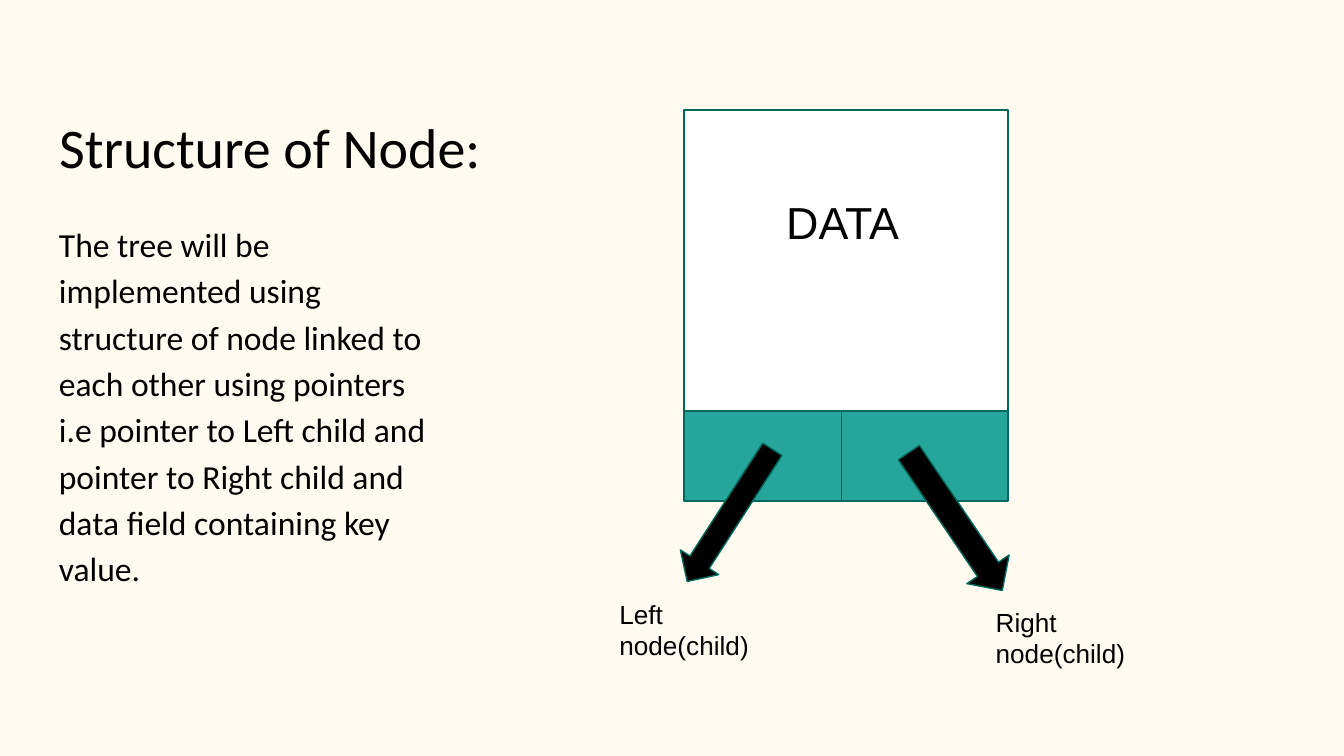
from dataclasses import dataclass

from pptx import Presentation
from pptx import util as u
from pptx.dml.color import RGBColor
from pptx.enum import shapes, text


@dataclass(frozen=True)
class Theme:
    background: str = "FFFBF0"
    ink: str = "000000"
    paper: str = "FFFFFF"
    teal: str = "26A69A"
    outline: str = "00695C"
    head_font: str = "Calibri"
    label_font: str = "Arial"
    title: int = 30
    data: int = 24
    body: int = 18
    label: int = 14
    line: float = 0.75
    inset: float = 0.1


def write(sp, content, theme, *, size, font, align=text.PP_ALIGN.LEFT,
          anchor=text.MSO_ANCHOR.TOP, spacing=None, after=0):
    tf = sp.text_frame
    tf.word_wrap = True
    tf.auto_size = text.MSO_AUTO_SIZE.NONE
    tf.vertical_anchor = anchor
    tf.margin_left = tf.margin_right = u.Inches(theme.inset)
    tf.margin_top = tf.margin_bottom = u.Inches(theme.inset)
    p = tf.paragraphs[0]
    p.alignment = align
    p.line_spacing = spacing
    p.space_before = u.Pt(0)
    p.space_after = u.Pt(after)
    r = p.add_run()
    r.text = content
    r.font.name = font
    r.font.size = u.Pt(size)
    r.font.color.rgb = RGBColor.from_string(theme.ink)


class SlideBuilder:
    """Holds the theme and the slide being drawn; boxes are (left, top, width, height) in inches."""

    def __init__(self, s, theme):
        self.s = s
        self.theme = theme
        fill = s.background.fill
        fill.solid()
        fill.fore_color.rgb = RGBColor.from_string(theme.background)

    def title(self, content, box):
        sp = self.s.shapes.title
        sp.left, sp.top, sp.width, sp.height = map(u.Inches, box)
        write(sp, content, self.theme, size=self.theme.title,
              font=self.theme.head_font, anchor=text.MSO_ANCHOR.BOTTOM)

    def text(self, content, box, **fmt):
        sp = self.s.shapes.add_textbox(*map(u.Inches, box))
        write(sp, content, self.theme, **fmt)

    def shape(self, kind, box, color, rotation=0):
        sp = self.s.shapes.add_shape(kind, *map(u.Inches, box))
        sp.shadow.inherit = False
        sp.rotation = rotation
        sp.fill.solid()
        sp.fill.fore_color.rgb = RGBColor.from_string(color)
        sp.line.color.rgb = RGBColor.from_string(self.theme.outline)
        sp.line.width = u.Pt(self.theme.line)

    def cell(self, box, color):
        self.shape(shapes.MSO_SHAPE.RECTANGLE, box, color)

    def pointer(self, box, rotation):
        self.shape(shapes.MSO_SHAPE.DOWN_ARROW, box, self.theme.ink, rotation)


def main():
    prs = Presentation()
    prs.slide_width = u.Inches(10)
    prs.slide_height = u.Inches(10 * 9 / 16)
    theme = Theme()
    b = SlideBuilder(prs.slides.add_slide(prs.slide_layouts[5]), theme)

    b.title("Structure of Node:", (0.34, 0.61, 4.17, 0.83))
    b.text("The tree will be implemented using structure of node linked to "
           "each other using pointers i.e pointer to Left child and pointer "
           "to Right child and data field containing key value.",
           (0.34, 1.52, 3.07, 3.48), size=theme.body, font=theme.head_font,
           spacing=1.15, after=16)

    # The node: a data field above two pointer fields
    left, top, width, data_height = 5.09, 0.82, 2.41, 2.24
    left_width, pointer_height = 1.17, 0.67
    pointer_top = top + data_height
    b.cell((left, top, width, data_height), theme.paper)
    b.cell((left, pointer_top, left_width, pointer_height), theme.teal)
    b.cell((left + left_width, pointer_top, width - left_width, pointer_height),
           theme.teal)
    b.text("DATA", (5.4, 1.35, 1.74, 1.23), size=theme.data,
           font=theme.label_font, align=text.PP_ALIGN.CENTER)

    children = [
        ("Left node(child)", (4.51, 4.35, 1.33, 0.54), (5.26, 3.25, 0.34, 1.17), 32.8),
        ("Right node(child)", (7.31, 4.41, 1.25, 0.54), (6.92, 3.26, 0.38, 1.24), 325.9),
    ]
    for _, _, arrow_box, rotation in children:
        b.pointer(arrow_box, rotation)
    for name, label_box, _, _ in children:
        b.text(name, label_box, size=theme.label, font=theme.label_font)

    prs.save("out.pptx")


if __name__ == "__main__":
    main()
